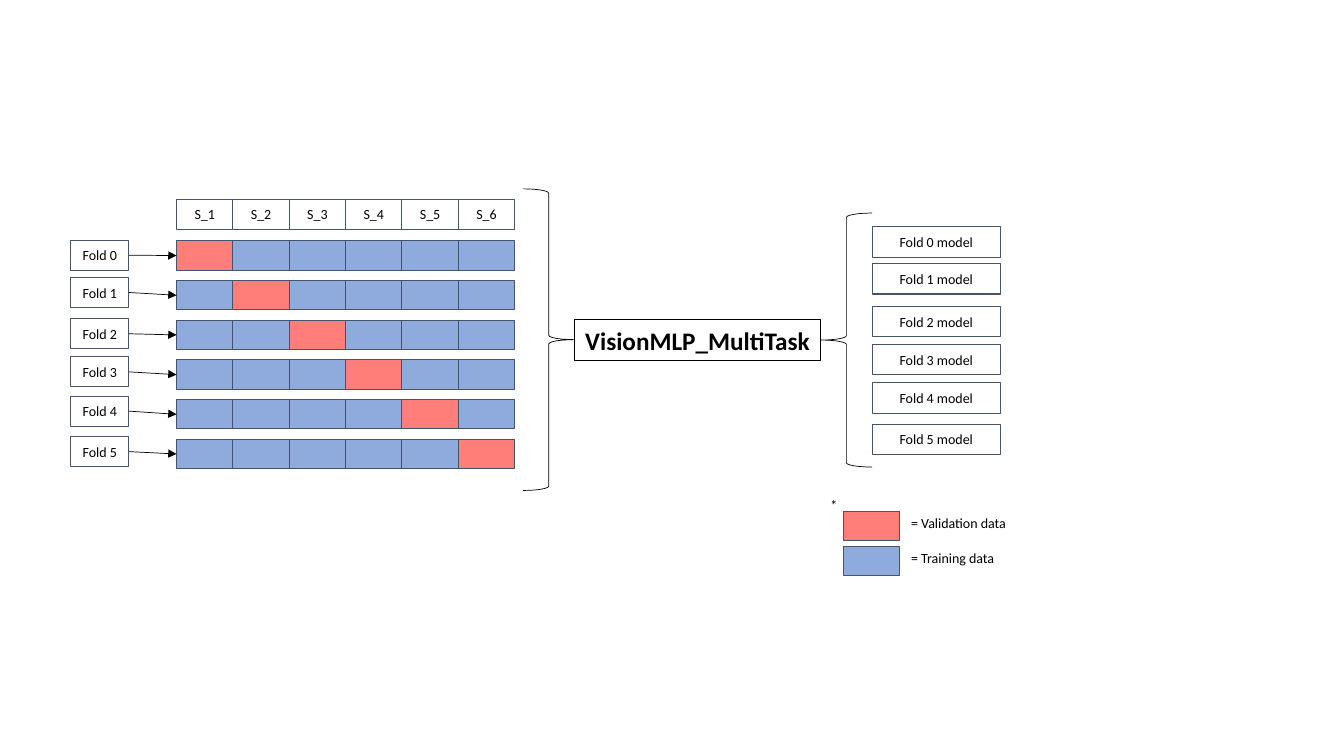
from dataclasses import dataclass

from lxml import etree
from pptx import Presentation
from pptx import util as u
from pptx.dml.color import RGBColor
from pptx.enum import shapes, text
from pptx.oxml import ns


@dataclass(frozen=True)
class Theme:
    font: str = "Calibri"
    ink: str = "000000"
    border: str = "44546A"
    paper: str = "FFFFFF"
    training: str = "8FAADC"
    validation: str = "FF7E79"
    label_size: float = 10
    model_size: float = 18
    box_line: float = 0.75
    thin_line: float = 0.5


THEME = Theme()

# Lengths in centimetres
FOLDS = 6
GRID_LEFT, GRID_TOP = 4.45, 6.07
CELL_WIDTH, CELL_HEIGHT, ROW_STEP = 1.42, 0.74, 1.0
LABEL_HEIGHT = 0.76
FOLD_TOPS = (6.05, 6.99, 8.03, 8.99, 9.98, 11.0)
MODEL_TOPS = (5.72, 6.65, 7.72, 8.69, 9.65, 10.69)


def set_line(line, color, width):
    line.color.rgb = RGBColor.from_string(color)
    line.width = u.Pt(width)


def add_box(parent, left, top, width, height, fill=None, border=THEME.border,
            line_width=THEME.box_line, kind=shapes.MSO_SHAPE.RECTANGLE):
    """Add a preset shape; None leaves the fill or the border out."""
    shape = parent.add_shape(kind, u.Cm(left), u.Cm(top), u.Cm(width), u.Cm(height))
    shape.shadow.inherit = False
    if fill:
        shape.fill.solid()
        shape.fill.fore_color.rgb = RGBColor.from_string(fill)
    else:
        shape.fill.background()
    if border:
        set_line(shape.line, border, line_width)
    else:
        shape.line.fill.background()
    return shape


def write(shape, words, size=THEME.label_size, bold=False, align=text.PP_ALIGN.CENTER):
    frame = shape.text_frame
    frame.text = words
    frame.word_wrap = True
    frame.vertical_anchor = text.MSO_ANCHOR.MIDDLE
    paragraph = frame.paragraphs[0]
    paragraph.alignment = align
    font = paragraph.runs[0].font
    font.name, font.size, font.bold = THEME.font, u.Pt(size), bold
    font.color.rgb = RGBColor.from_string(THEME.ink)
    return frame


def add_label(slide, words, left, top, width, fill=THEME.paper, border=THEME.border,
              align=text.PP_ALIGN.CENTER):
    shape = add_box(slide.shapes, left, top, width, LABEL_HEIGHT, fill, border)
    frame = write(shape, words, align=align)
    frame.margin_top = frame.margin_bottom = u.Cm(0.25)
    return shape


def add_brace(slide, kind, left, top, height):
    add_box(slide.shapes, left, top, 1.3, height, border=THEME.ink,
            line_width=THEME.thin_line, kind=kind)


def add_fold_row(slide, fold):
    """Add the grouped cells of one fold and return the first cell."""
    group = slide.shapes.add_group_shape()
    cells = [
        add_box(group.shapes, GRID_LEFT + column * CELL_WIDTH, GRID_TOP + fold * ROW_STEP,
                CELL_WIDTH, CELL_HEIGHT,
                THEME.validation if column == fold else THEME.training)
        for column in range(FOLDS)
    ]
    return cells[0]


def add_arrow(slide, start, end):
    """Join the right side of start to the left side of end."""
    arrow = slide.shapes.add_connector(shapes.MSO_CONNECTOR.STRAIGHT, 0, 0, 0, 0)
    arrow.begin_connect(start, 3)
    arrow.end_connect(end, 1)
    set_line(arrow.line, THEME.ink, THEME.thin_line)
    etree.SubElement(arrow.line._get_or_add_ln(), ns.qn("a:tailEnd"), type="triangle")
    etree.SubElement(arrow._element.spPr, ns.qn("a:effectLst"))


def add_folds(slide):
    for column in range(FOLDS):
        add_label(slide, f"S_{column + 1}", GRID_LEFT + column * CELL_WIDTH, 5.02, CELL_WIDTH)
    for fold, top in enumerate(FOLD_TOPS):
        first_cell = add_fold_row(slide, fold)
        label = add_label(slide, f"Fold {fold}", 1.78, top, 1.47)
        add_arrow(slide, label, first_cell)


def add_network(slide):
    box = add_box(slide.shapes, 14.48, 8.06, 6.2, 1.02, border=THEME.ink)
    frame = write(box, "VisionMLP_MultiTask", THEME.model_size, bold=True)
    frame.word_wrap = False
    frame.auto_size = text.MSO_AUTO_SIZE.SHAPE_TO_FIT_TEXT


def add_legend(slide):
    entries = ((THEME.validation, "= Validation data"), (THEME.training, "= Training data"))
    for row, (color, words) in enumerate(entries):
        offset = row * 0.89
        add_box(slide.shapes, 21.26, 12.88 + offset, CELL_WIDTH, CELL_HEIGHT, color)
        add_label(slide, words, 22.71, 12.8 + offset, 3.23, border=None,
                  align=text.PP_ALIGN.LEFT)
    note = slide.shapes.add_textbox(u.Cm(20.68), u.Cm(12.34), u.Cm(3.23), u.Cm(LABEL_HEIGHT))
    frame = write(note, "*", align=text.PP_ALIGN.LEFT)
    frame.margin_top = frame.margin_bottom = u.Cm(0.25)


def main():
    presentation = Presentation()
    presentation.slide_width, presentation.slide_height = u.Cm(33.87), u.Cm(19.05)
    slide = presentation.slides.add_slide(presentation.slide_layouts[6])

    # Cross-validation folds
    add_folds(slide)

    # Network between braces
    add_brace(slide, shapes.MSO_SHAPE.RIGHT_BRACE, 13.18, 4.76, 7.6)
    add_network(slide)
    add_brace(slide, shapes.MSO_SHAPE.LEFT_BRACE, 20.68, 5.37, 6.4)

    # Trained models
    for fold, top in enumerate(MODEL_TOPS):
        add_label(slide, f"Fold {fold} model", 21.98, top, 3.23)

    # Legend
    add_legend(slide)

    presentation.save("out.pptx")


if __name__ == "__main__":
    main()
